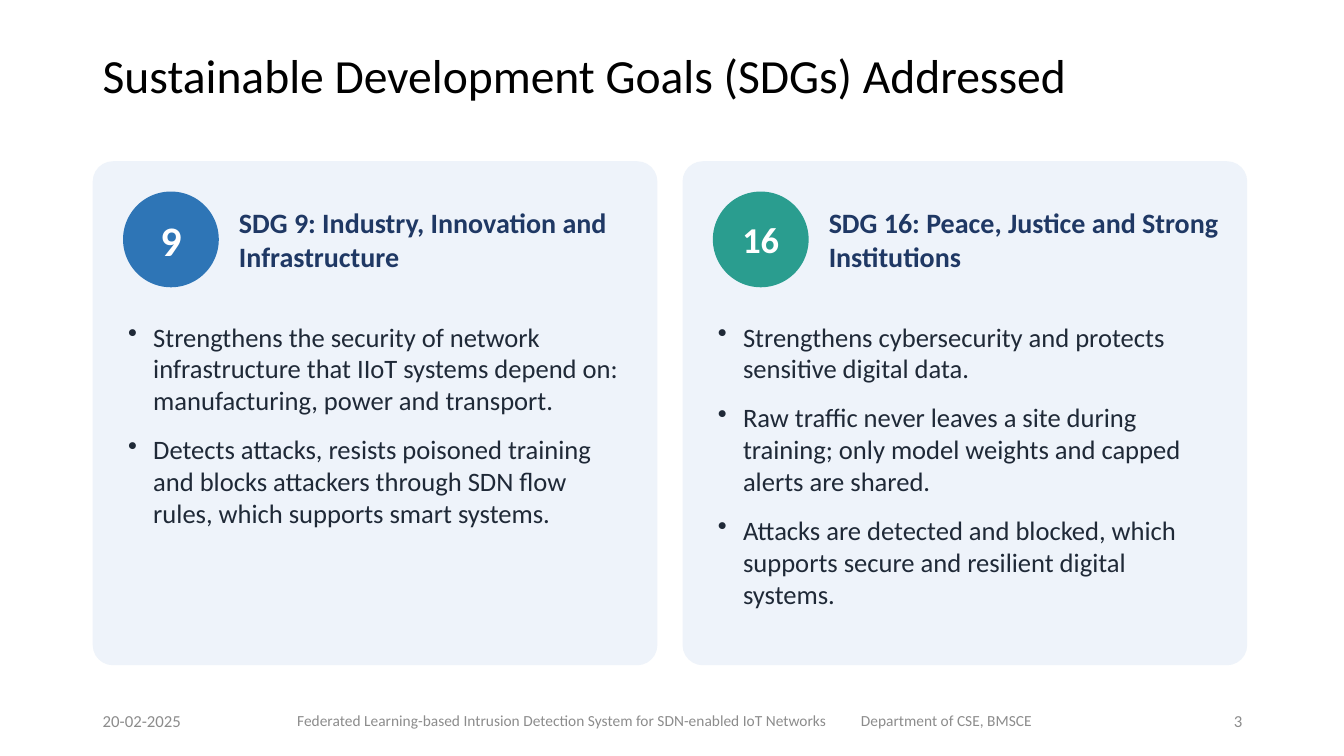
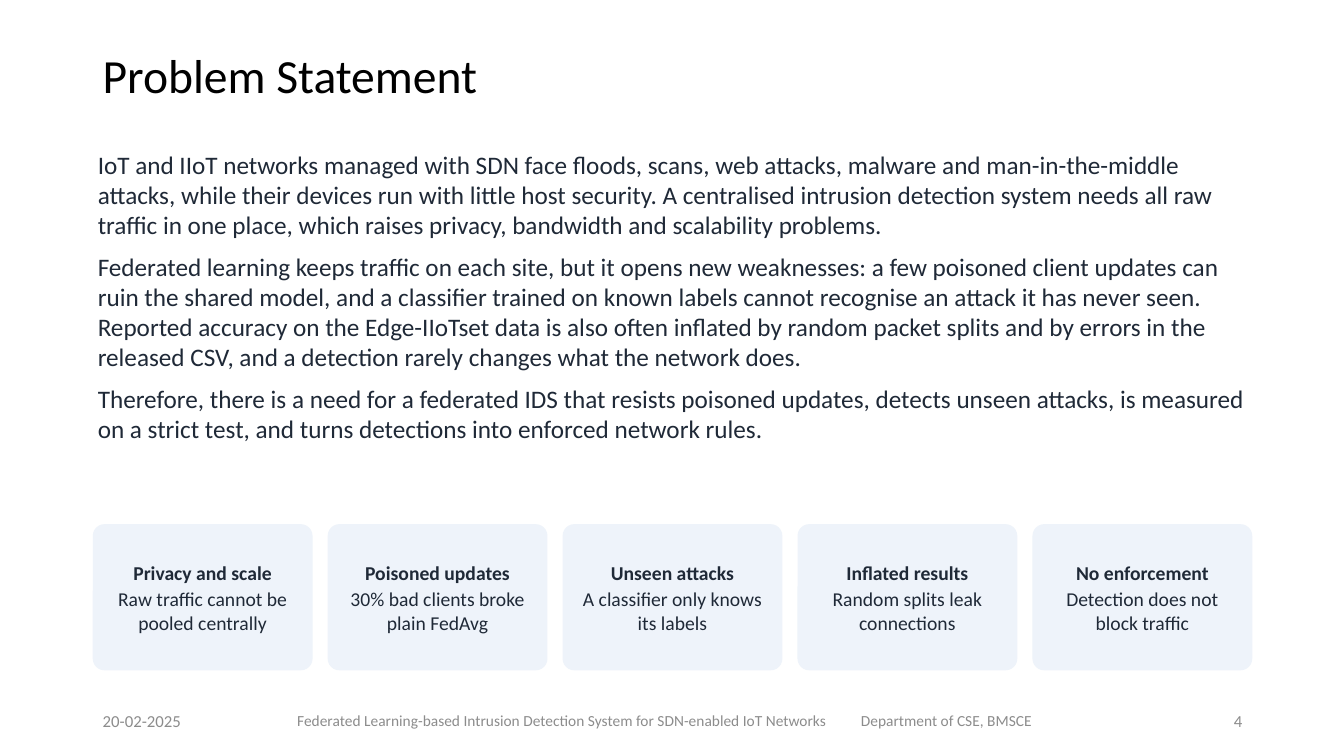
from lxml import etree
from pptx import Presentation
from pptx.dml.color import RGBColor
from pptx.enum.shapes import MSO_SHAPE
from pptx.enum.text import MSO_ANCHOR, MSO_AUTO_SIZE, PP_ALIGN
from pptx.oxml.ns import qn
from pptx.util import Inches, Pt

ROUND, OVAL = MSO_SHAPE.ROUNDED_RECTANGLE, MSO_SHAPE.OVAL
LEFT, CENTER, RIGHT = PP_ALIGN.LEFT, PP_ALIGN.CENTER, PP_ALIGN.RIGHT
TOP, MIDDLE = MSO_ANCHOR.TOP, MSO_ANCHOR.MIDDLE
GROW = MSO_AUTO_SIZE.SHAPE_TO_FIT_TEXT

FONT = "Calibri"
BLACK, WHITE, GREY = "000000", "FFFFFF", "8C8C8C"
INK, NAVY, PALE = "1F2937", "1F3864", "EEF3FA"
BLUE, TEAL = "2E75B6", "2A9D8F"
EDGE = 0.92
SNUG, TIGHT = (0.08, 0.04), (0.05, 0.03)


def place(slide, at, kind=None, fill=None, round_by=None):
    """Add a text box, or a filled shape when a kind is given."""
    spot = [Inches(v) for v in at]
    if kind is None:
        return slide.shapes.add_textbox(*spot)
    shape = slide.shapes.add_shape(kind, *spot)
    shape.shadow.inherit = False
    shape.fill.solid()
    shape.fill.fore_color.rgb = RGBColor.from_string(fill)
    shape.line.fill.background()
    if round_by:
        shape.adjustments[0] = round_by
    return shape


def write(shape, lines, size, color, align=LEFT, anchor=MIDDLE, inset=(0.1, 0.05),
          after=0, bold=False, bullet=False):
    """Fill a shape with paragraphs; return them."""
    frame = shape.text_frame
    frame.word_wrap = True
    frame.vertical_anchor = anchor
    frame.margin_left = frame.margin_right = Inches(inset[0])
    frame.margin_top = frame.margin_bottom = Inches(inset[1])
    if inset == TIGHT:
        frame.auto_size = GROW
    for i, line in enumerate(lines):
        para = frame.add_paragraph() if i else frame.paragraphs[0]
        para.text = line
        if bullet:
            props = para._p.get_or_add_pPr()
            props.set("marL", str(Inches(0.25)))
            props.set("indent", str(-Inches(0.25)))
            etree.SubElement(props, qn("a:buChar"), char="•")
        para.alignment = align
        para.space_after = Pt(after)
        para.font.name = FONT
        para.font.size = Pt(size)
        para.font.bold = bold
        para.font.color.rgb = RGBColor.from_string(color)
    return frame.paragraphs


deck = Presentation()
deck.slide_width, deck.slide_height = Inches(13.33), Inches(7.5)

# Shared title and footer
footer = [
    (EDGE, 3, "20-02-2025", 12, LEFT),
    (2.3, 6, "Federated Learning-based Intrusion Detection System for SDN-enabled IoT Networks",
     11, RIGHT),
    (8.44, 2.4, "Department of CSE, BMSCE", 11, LEFT),
]
titles = ["Sustainable Development Goals (SDGs) Addressed", "Problem Statement"]
slides = []
for num, title in enumerate(titles, 3):
    slide = deck.slides.add_slide(deck.slide_layouts[6])
    head = write(place(slide, (EDGE, 0.3, 10.9, 0.95)), [title], 34, BLACK)
    head[0].line_spacing = 0.9
    for x, width, text, size, align in footer + [(9.42, 3, str(num), 12, RIGHT)]:
        write(place(slide, (x, 6.95, width, 0.4)), [text], size, GREY, align)
    slides.append(slide)
goals, problem = slides

# Goal cards
cards = [
    ("9", 30, BLUE, "SDG 9: Industry, Innovation and Infrastructure", [
        "Strengthens the security of network infrastructure that IIoT systems depend on: "
        "manufacturing, power and transport.",
        "Detects attacks, resists poisoned training and blocks attackers through SDN flow "
        "rules, which supports smart systems.",
    ]),
    ("16", 26, TEAL, "SDG 16: Peace, Justice and Strong Institutions", [
        "Strengthens cybersecurity and protects sensitive digital data.",
        "Raw traffic never leaves a site during training; only model weights and capped "
        "alerts are shared.",
        "Attacks are detected and blocked, which supports secure and resilient digital "
        "systems.",
    ]),
]
for i, (goal, size, color, name, points) in enumerate(cards):
    x = EDGE + i * 5.85
    place(goals, (x, 1.6, 5.6, 5), ROUND, PALE, 0.04)
    badge = place(goals, (x + 0.3, 1.9, 0.95, 0.95), OVAL, color)
    write(badge, [goal], size, WHITE, CENTER, inset=SNUG, after=2, bold=True)
    write(place(goals, (x + 1.4, 1.9, 4, 0.95)), [name], 20, NAVY,
          inset=TIGHT, after=6, bold=True)
    write(place(goals, (x + 0.3, 3.15, 5, 3.4)), points, 19, INK, anchor=TOP,
          inset=TIGHT, after=12, bullet=True)

# Problem text
story = [
    "IoT and IIoT networks managed with SDN face floods, scans, web attacks, malware and "
    "man-in-the-middle attacks, while their devices run with little host security. A "
    "centralised intrusion detection system needs all raw traffic in one place, which "
    "raises privacy, bandwidth and scalability problems.",
    "Federated learning keeps traffic on each site, but it opens new weaknesses: a few "
    "poisoned client updates can ruin the shared model, and a classifier trained on known "
    "labels cannot recognise an attack it has never seen. Reported accuracy on the "
    "Edge-IIoTset data is also often inflated by random packet splits and by errors in the "
    "released CSV, and a detection rarely changes what the network does.",
    "Therefore, there is a need for a federated IDS that resists poisoned updates, detects "
    "unseen attacks, is measured on a strict test, and turns detections into enforced "
    "network rules.",
]
write(place(problem, (EDGE, 1.45, 11.5, 2.5)), story, 18, INK, anchor=TOP,
      inset=TIGHT, after=8)

# Row of issues
issues = [
    ("Privacy and scale", "Raw traffic cannot be pooled centrally"),
    ("Poisoned updates", "30% bad clients broke plain FedAvg"),
    ("Unseen attacks", "A classifier only knows its labels"),
    ("Inflated results", "Random splits leak connections"),
    ("No enforcement", "Detection does not block traffic"),
]
for i, issue in enumerate(issues):
    tile = place(problem, (EDGE + i * 2.33, 5.2, 2.18, 1.45), ROUND, PALE, 0.08)
    lines = write(tile, issue, 14, INK, CENTER, inset=SNUG, after=2)
    lines[0].font.bold = True

deck.save("out.pptx")
